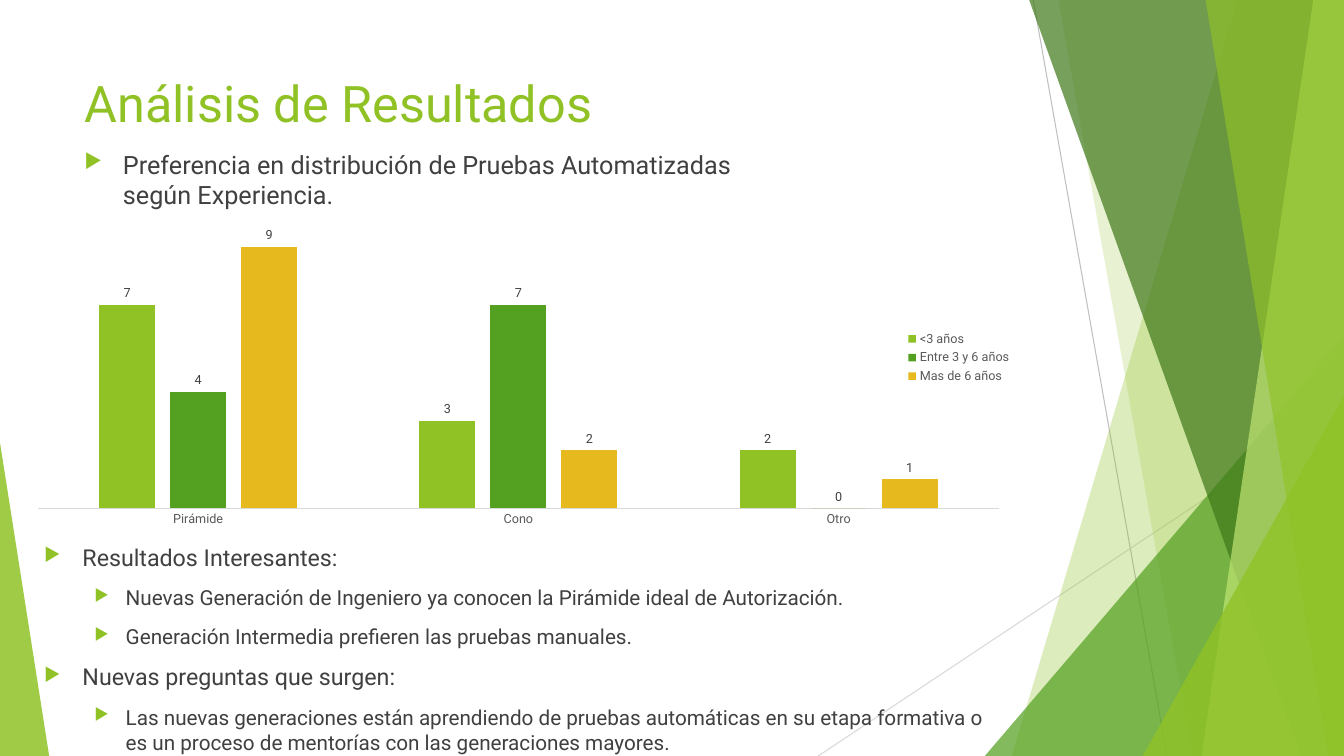
from dataclasses import dataclass

from lxml.etree import SubElement
from pptx import Presentation
from pptx.chart.data import CategoryChartData
from pptx.dml.color import RGBColor
from pptx.enum.chart import XL_CHART_TYPE, XL_LABEL_POSITION, XL_LEGEND_POSITION, XL_TICK_MARK
from pptx.enum.shapes import MSO_CONNECTOR, MSO_SHAPE
from pptx.enum.text import MSO_ANCHOR
from pptx.oxml import parse_xml
from pptx.oxml.ns import nsdecls, qn
from pptx.util import Cm, Pt


@dataclass(frozen=True)
class Theme:
    font: str = "Roboto"
    lime: str = "90C226"
    green: str = "54A021"
    forest: str = "3F7819"
    pale: str = "C0E474"
    gold: str = "E6B91E"
    text: str = "404040"
    axis_text: str = "595959"
    rule: str = "D9D9D9"
    dark_rule: str = "BFBFBF"
    title_size: float = 36
    lead_size: float = 18
    point_size: float = 16.6
    detail_size: float = 14.8
    chart_size: float = 9
    rule_width: float = 0.75


THEME = Theme()
WIDTH, HEIGHT = 33.87, 19.05
BAND_TOP = -0.02

# Content (lengths in centimetres)
TITLE = "Análisis de Resultados"
TITLE_BOX = (1.88, 1.7, 23.85, 2.36)
LEAD = [(0, "Preferencia en distribución de Pruebas Automatizadas según Experiencia.")]
LEAD_BOX = (1.88, 3.63, 18.54, 1.83)
FINDINGS = [
    (0, "Resultados Interesantes:"),
    (1, "Nuevas Generación de Ingeniero ya conocen la Pirámide ideal de Autorización."),
    (1, "Generación Intermedia prefieren las pruebas manuales."),
    (0, "Nuevas preguntas que surgen:"),
    (1, "Las nuevas generaciones están aprendiendo de pruebas automáticas en su etapa "
        "formativa o es un proceso de mentorías con las generaciones mayores."),
]
FINDINGS_BOX = (0.86, 13.56, 24.82, 5)
BULLET_INDENTS = [(0.97, -0.97), (2.06, -0.79)]  # left margin, first line

CATEGORIES = ["Pirámide", "Cono", "Otro"]
SERIES = [
    ("<3 años", (7, 3, 2), THEME.lime),
    ("Entre 3 y 6 años", (4, 7, 0), THEME.green),
    ("Mas de 6 años", (9, 2, 1), THEME.gold),
]
CHART_BOX = (0.58, 4.45, 25.17, 9.12)
PLOT_LAYOUT = {"x": 0.015, "y": 0.113, "w": 0.962, "h": 0.804}

RULES = [
    (26.04, 0, 29.41, HEIGHT, THEME.dark_rule),
    (WIDTH, 10.24, 20.62, HEIGHT, THEME.rule),
]
# Bands reach the right edge: left x at the top, left x at the bottom
# Wedges stand on the bottom edge: left, width, height, tip position
FACETS = [
    ("band", (31.19, 25.5), THEME.lime, 30),
    ("band", (26.67, 30.05), THEME.lime, 20),
    ("wedge", (24.82, 9.05, 10.59, 1), THEME.green, 72),
    ("band", (25.93, 32.79), THEME.forest, 70),
    ("band", (33.1, 30.28), THEME.pale, 70),
    ("band", (30.38, 33.48), THEME.lime, 65),
    ("wedge", (28.8, 5.07, 9.07, 1), THEME.lime, 80),
    ("wedge", (0, 1.24, 7.9, 0), THEME.lime, 85),
]


def color(value):
    return RGBColor.from_string(value)


def lengths(values):
    return [Cm(value) for value in values]


def style_font(font, size, value):
    font.name, font.size = THEME.font, Pt(size)
    font.color.rgb = color(value)


def add_rule(slide, x1, y1, x2, y2, value):
    connector = slide.shapes.add_connector(MSO_CONNECTOR.STRAIGHT, *lengths((x1, y1, x2, y2)))
    connector.line.color.rgb = color(value)
    connector.line.width = Pt(THEME.rule_width)
    SubElement(connector.element.spPr, qn("a:effectLst"))


def add_band(slide, top_x, bottom_x):
    corners = [(top_x, BAND_TOP), (WIDTH, BAND_TOP), (WIDTH, HEIGHT), (bottom_x, HEIGHT)]
    start, *others = [tuple(lengths(corner)) for corner in corners]
    builder = slide.shapes.build_freeform(*start, scale=1.0)
    builder.add_line_segments(others, close=True)
    return builder.convert_to_shape()


def add_wedge(slide, left, width, height, tip):
    box = lengths((left, HEIGHT - height, width, height))
    shape = slide.shapes.add_shape(MSO_SHAPE.ISOSCELES_TRIANGLE, *box)
    shape.adjustments[0] = tip
    return shape


def add_facet(slide, kind, geometry, value, opacity):
    shape = {"band": add_band, "wedge": add_wedge}[kind](slide, *geometry)
    shape.shadow.inherit = False
    shape.fill.solid()
    shape.fill.fore_color.rgb = color(value)
    fill_color = shape.element.xpath("./p:spPr/a:solidFill/a:srgbClr")[0]
    SubElement(fill_color, qn("a:alpha"), val=str(opacity * 1000))
    shape.line.fill.background()


def add_text_frame(slide, box):
    frame = slide.shapes.add_textbox(*lengths(box)).text_frame
    frame.word_wrap = True
    frame.vertical_anchor = MSO_ANCHOR.TOP
    return frame


def add_title(slide):
    paragraph = add_text_frame(slide, TITLE_BOX).paragraphs[0]
    paragraph.text = TITLE
    style_font(paragraph.font, THEME.title_size, THEME.lime)


def add_bullets(slide, box, items, sizes):
    frame = add_text_frame(slide, box)
    for index, (level, text) in enumerate(items):
        paragraph = frame.add_paragraph() if index else frame.paragraphs[0]
        paragraph.text = text
        paragraph.level = level
        paragraph.space_before = Pt(10)
        properties = paragraph._p.get_or_add_pPr()
        margin, indent = lengths(BULLET_INDENTS[level])
        properties.set("marL", str(margin))
        properties.set("indent", str(indent))
        bullet_color = SubElement(properties, qn("a:buClr"))
        SubElement(bullet_color, qn("a:srgbClr"), val=THEME.lime)
        SubElement(properties, qn("a:buSzPct"), val="80000")
        SubElement(properties, qn("a:buChar"), char="▶")
        style_font(paragraph.font, sizes[level], THEME.text)


def add_experience_chart(slide):
    data = CategoryChartData()
    data.categories = CATEGORIES
    for name, values, _ in SERIES:
        data.add_series(name, values)
    chart = slide.shapes.add_chart(
        XL_CHART_TYPE.COLUMN_CLUSTERED, *lengths(CHART_BOX), data).chart
    style_font(chart.font, THEME.chart_size, THEME.axis_text)
    chart.has_title = False

    # Columns and their values
    plot = chart.plots[0]
    plot.gap_width, plot.overlap, plot.vary_by_categories = 219, -27, False
    for series, (_, _, value) in zip(plot.series, SERIES):
        series.format.fill.solid()
        series.format.fill.fore_color.rgb = color(value)
        labels = series.data_labels
        labels.show_value = True
        labels.position = XL_LABEL_POSITION.OUTSIDE_END
        style_font(labels.font, THEME.chart_size, THEME.text)

    # Axes and legend
    value_axis, category_axis = chart.value_axis, chart.category_axis
    value_axis.minimum_scale, value_axis.maximum_scale = 0, 10
    value_axis.has_major_gridlines = False
    value_axis.visible = False
    category_axis.major_tick_mark = XL_TICK_MARK.NONE
    category_axis.format.line.color.rgb = color(THEME.rule)
    category_axis.format.line.width = Pt(THEME.rule_width)
    chart.has_legend = True
    chart.legend.position = XL_LEGEND_POSITION.RIGHT
    chart.legend.include_in_layout = False

    # Fixed plot area
    area = chart.element.xpath(".//c:plotArea")[0]
    for layout in area.findall(qn("c:layout")):
        area.remove(layout)
    modes = '<c:layoutTarget val="inner"/><c:xMode val="edge"/><c:yMode val="edge"/>'
    places = "".join(f'<c:{key} val="{value}"/>' for key, value in PLOT_LAYOUT.items())
    area.insert(0, parse_xml(
        f'<c:layout {nsdecls("c")}><c:manualLayout>{modes}{places}</c:manualLayout></c:layout>'))


def main():
    presentation = Presentation()
    presentation.slide_width, presentation.slide_height = lengths((WIDTH, HEIGHT))
    slide = presentation.slides.add_slide(presentation.slide_layouts[6])
    for rule in RULES:
        add_rule(slide, *rule)
    for facet in FACETS:
        add_facet(slide, *facet)
    add_title(slide)
    add_bullets(slide, LEAD_BOX, LEAD, [THEME.lead_size])
    add_bullets(slide, FINDINGS_BOX, FINDINGS, [THEME.point_size, THEME.detail_size])
    add_experience_chart(slide)
    presentation.save("out.pptx")


if __name__ == "__main__":
    main()
